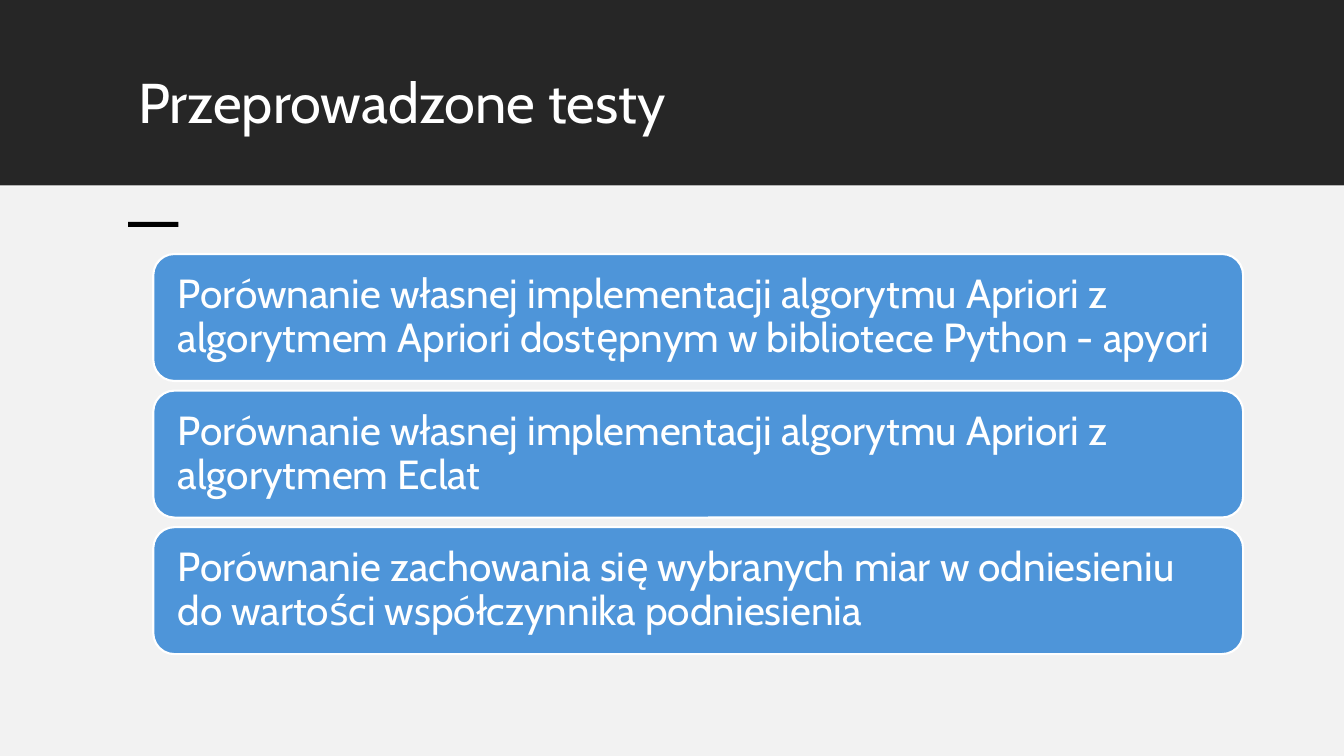
from pptx import Presentation
from pptx import util as u
from pptx.dml.color import RGBColor
from pptx.enum import shapes, text

FONT = "Cabin"
WHITE, DARK, LIGHT, BLUE, BLACK = "FFFFFF", "262626", "F2F2F2", "4E95D9", "000000"
TITLE = "Przeprowadzone testy"
TESTS = [
    "Porównanie własnej implementacji algorytmu Apriori z algorytmem Apriori "
    "dostępnym w bibliotece Python - apyori",
    "Porównanie własnej implementacji algorytmu Apriori z algorytmem Eclat",
    "Porównanie zachowania się wybranych miar w odniesieniu do wartości "
    "współczynnika podniesienia",
]
# left, top, width, height in inches
HEADER = (0, -0.01, 13.33, 1.85)
BODY = (0, 1.85, 13.33, 5.65)
ACCENT = (1.27, 2.2, 0.5, 0.05)
TITLE_BOX = (1.27, 0.7, 10.81, 0.98)
CARD_LEFT, CARD_TOP, CARD_WIDTH, CARD_HEIGHT = 1.52, 2.52, 10.81, 1.26
CARD_STEP = 1.355
CARD_INSET = 0.18


def color(value):
    return RGBColor.from_string(value)


def add_block(slide, kind, bounds, fill):
    """Add a filled preset shape without outline or shadow."""
    block = slide.shapes.add_shape(kind, *map(u.Inches, bounds))
    block.shadow.inherit = False
    block.fill.solid()
    block.fill.fore_color.rgb = color(fill)
    block.line.fill.background()
    return block


def write(shape, words, size, anchor, inset_x, inset_y):
    """Fill a shape with one left-aligned white paragraph."""
    frame = shape.text_frame
    frame.text = words
    frame.word_wrap = True
    frame.auto_size = text.MSO_AUTO_SIZE.NONE
    frame.vertical_anchor = anchor
    frame.margin_left = frame.margin_right = u.Inches(inset_x)
    frame.margin_top = frame.margin_bottom = u.Inches(inset_y)
    para = frame.paragraphs[0]
    para.alignment = text.PP_ALIGN.LEFT
    para.line_spacing = 0.9
    font = para.runs[0].font
    font.name, font.size = FONT, u.Pt(size)
    font.color.rgb = color(WHITE)


def main():
    deck = Presentation()
    deck.slide_width, deck.slide_height = u.Inches(13.33), u.Inches(7.5)
    slide = deck.slides.add_slide(deck.slide_layouts[5])
    rectangle = shapes.MSO_SHAPE.RECTANGLE

    title = slide.shapes.title
    title.left, title.top, title.width, title.height = map(u.Inches, TITLE_BOX)
    write(title, TITLE, 40, text.MSO_ANCHOR.TOP, 0.1, 0.05)

    header = add_block(slide, rectangle, HEADER, DARK)
    title.element.addprevious(header.element)  # keeps the title in front
    add_block(slide, rectangle, BODY, LIGHT)
    add_block(slide, rectangle, ACCENT, BLACK)

    for index, words in enumerate(TESTS):
        bounds = (CARD_LEFT, CARD_TOP + index * CARD_STEP, CARD_WIDTH, CARD_HEIGHT)
        card = add_block(slide, shapes.MSO_SHAPE.ROUNDED_RECTANGLE, bounds, BLUE)
        card.line.color.rgb = color(WHITE)
        card.line.width = u.Pt(1.5)
        write(card, words, 29, text.MSO_ANCHOR.MIDDLE, CARD_INSET, CARD_INSET)

    deck.save("out.pptx")


if __name__ == "__main__":
    main()
